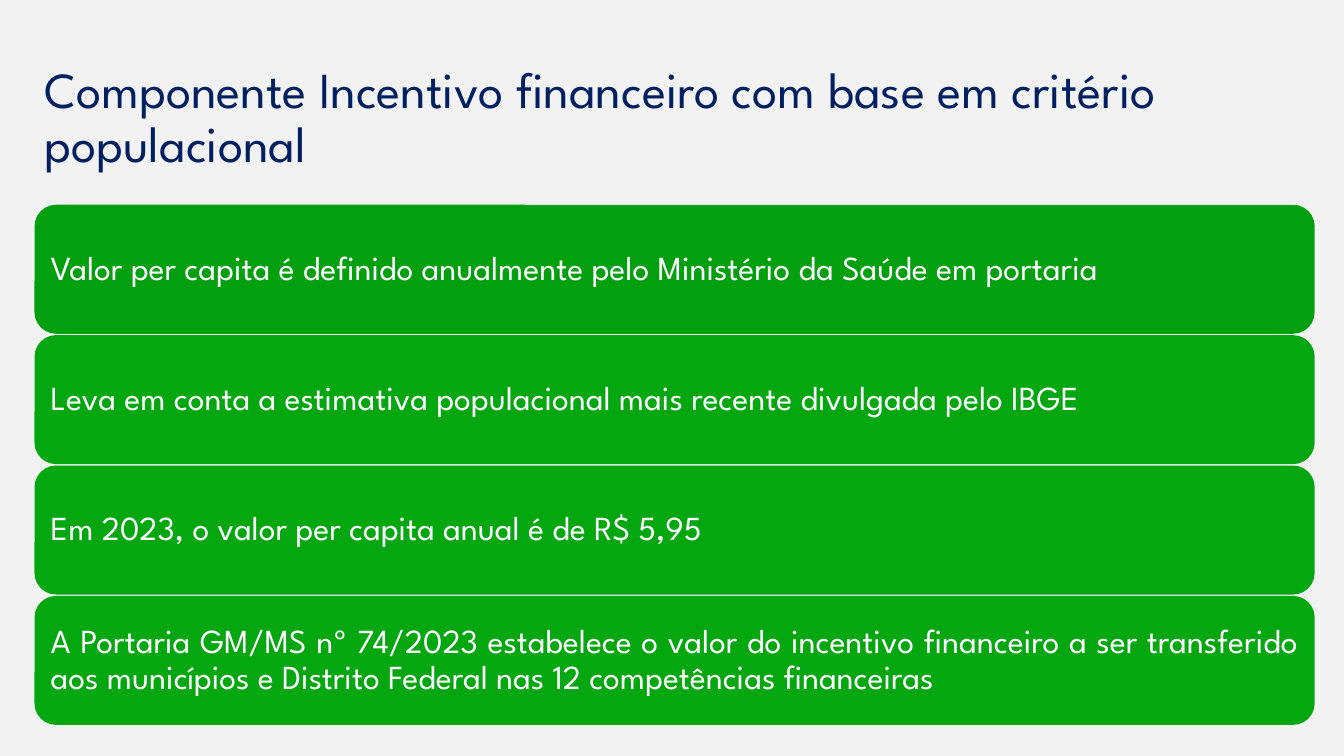
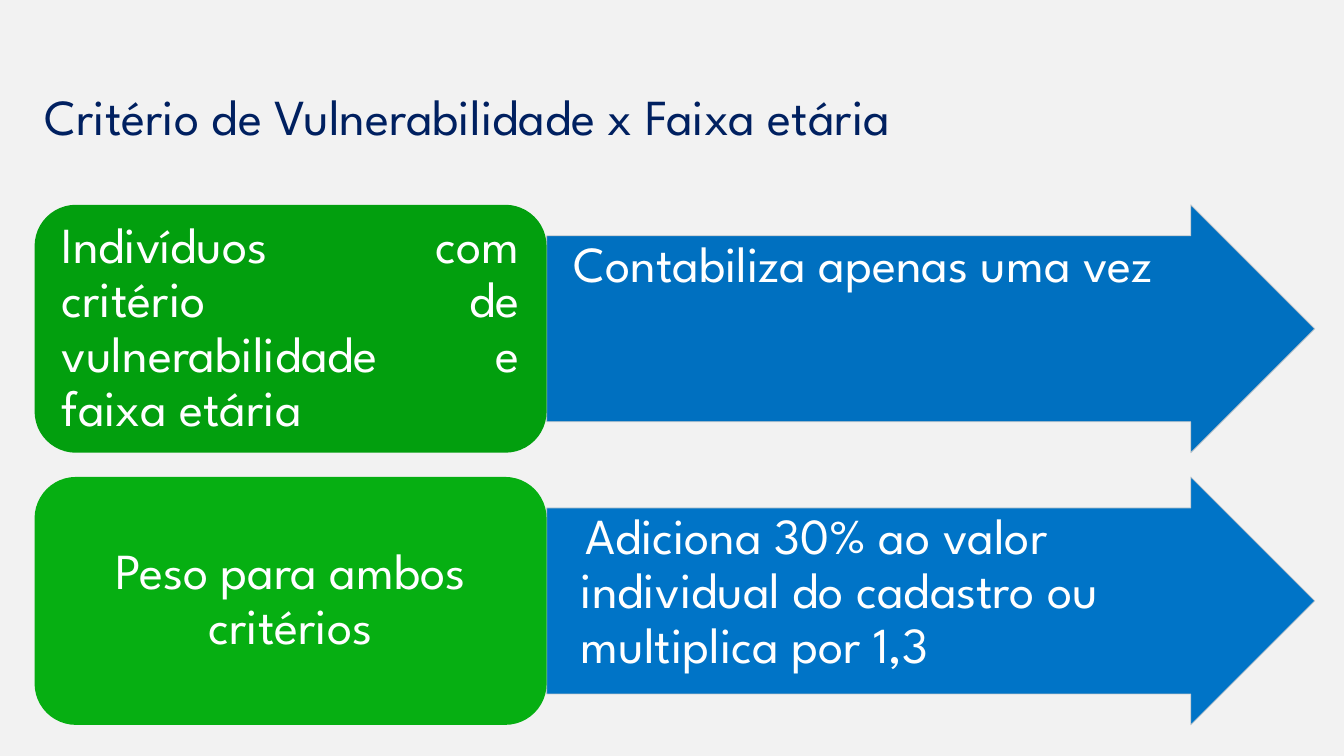
from dataclasses import dataclass

from lxml import etree
from pptx import Presentation
from pptx.dml.color import RGBColor
from pptx.enum.shapes import MSO_SHAPE
from pptx.enum.text import MSO_ANCHOR, MSO_AUTO_SIZE, PP_ALIGN
from pptx.oxml.ns import qn
from pptx.util import Pt

ROUNDED, ARROW = MSO_SHAPE.ROUNDED_RECTANGLE, MSO_SHAPE.RIGHT_ARROW
TOP, MIDDLE = MSO_ANCHOR.TOP, MSO_ANCHOR.MIDDLE
LEFT, CENTER, JUSTIFY = PP_ALIGN.LEFT, PP_ALIGN.CENTER, PP_ALIGN.JUSTIFY
NO_AUTOFIT = MSO_AUTO_SIZE.NONE
TITLE_ONLY = 5


@dataclass(frozen=True)
class Theme:
    """Colours, type and line spacing shared by the slides."""
    font: str = "League Spartan"
    background: str = "F2F2F2"
    navy: str = "002060"
    white: str = "FFFFFF"
    outline: str = "CCCCCC"
    green_dark: str = "029F0E"
    green: str = "04A710"
    green_light: str = "06AF12"
    blue: str = "0070C0"
    blue_light: str = "0074C7"
    large: float = 36
    medium: float = 24
    line_spacing: float = 0.9


@dataclass(frozen=True)
class Box:
    """A rectangle in points."""
    left: float
    top: float
    width: float
    height: float

    def rows(self, count, gap):
        """Split the box into equal rows."""
        height = (self.height - gap * (count - 1)) / count
        return [Box(self.left, self.top + i * (height + gap), self.width, height)
                for i in range(count)]

    def columns(self, share):
        """Split the box in two, the first taking the given share."""
        first = self.width * share
        return (Box(self.left, self.top, first, self.height),
                Box(self.left + first, self.top, self.width - first, self.height))

    def lengths(self):
        """Return left, top, width and height as lengths."""
        return Pt(self.left), Pt(self.top), Pt(self.width), Pt(self.height)


THEME = Theme()
TITLE_BOX = Box(24.7, 39.6, 914.4, 91.4)
BODY_BOX = Box(24.7, 146.3, 914.4, 371.5)

POPULATION_FACTS = [
    ("Valor per capita é definido anualmente pelo Ministério da Saúde em portaria",
     THEME.green_dark),
    ("Leva em conta a estimativa populacional mais recente divulgada pelo IBGE",
     THEME.green),
    ("Em 2023, o valor per capita anual é de R$ 5,95", THEME.green),
    ("A Portaria GM/MS nº 74/2023 estabelece o valor do incentivo financeiro a ser "
     "transferido aos municípios e Distrito Federal nas 12 competências financeiras",
     THEME.green),
]

CRITERIA = [
    {"criterion": "Indivíduos com critério de vulnerabilidade e faixa etária",
     "criterion_align": JUSTIFY, "criterion_color": THEME.green_dark,
     "effect": "Contabiliza apenas uma vez",
     "effect_align": JUSTIFY, "effect_color": THEME.blue, "effect_indent": -5},
    {"criterion": "Peso para ambos critérios",
     "criterion_align": CENTER, "criterion_color": THEME.green_light,
     "effect": "Adiciona 30% ao valor individual do cadastro ou multiplica por 1,3",
     "effect_align": LEFT, "effect_color": THEME.blue_light, "effect_indent": 3},
]


def write_text(shape, text, size, color, align, anchor, insets):
    """Fill a shape with one formatted paragraph and return it."""
    frame = shape.text_frame
    frame.word_wrap = True
    frame.auto_size = NO_AUTOFIT
    frame.vertical_anchor = anchor
    frame.margin_left = frame.margin_right = Pt(insets[0])
    frame.margin_top = frame.margin_bottom = Pt(insets[1])
    frame.text = text
    paragraph = frame.paragraphs[0]
    paragraph.alignment = align
    paragraph.line_spacing = THEME.line_spacing
    paragraph.font.name = THEME.font
    paragraph.font.size = Pt(size)
    paragraph.font.color.rgb = RGBColor.from_string(color)
    return paragraph


def add_panel(slide, preset, box, fill):
    """Add a filled preset shape without line or shadow."""
    panel = slide.shapes.add_shape(preset, *box.lengths())
    panel.shadow.inherit = False
    panel.fill.solid()
    panel.fill.fore_color.rgb = RGBColor.from_string(fill)
    panel.line.fill.background()
    return panel


def add_card(slide, box, text, fill, size, align, insets):
    """Add a rounded green card."""
    card = add_panel(slide, ROUNDED, box, fill)
    write_text(card, text, size, THEME.white, align, MIDDLE, insets)


def add_effect_arrow(slide, box, text, fill, align, indent):
    """Add a wide arrow with a faint outline and an indented text."""
    arrow = add_panel(slide, ARROW, box, fill)
    arrow.adjustments[0] = 0.75
    arrow.adjustments[1] = 0.5
    arrow.line.color.rgb = RGBColor.from_string(THEME.outline)
    arrow.line.width = Pt(0.5)
    outline_color = arrow.line.fill._xPr.find(".//" + qn("a:srgbClr"))
    etree.SubElement(outline_color, qn("a:alpha"), val="90000")
    paragraph = write_text(arrow, text, THEME.large, THEME.white, align, TOP, (2, 2))
    properties = paragraph._p.get_or_add_pPr()
    properties.set("marL", str(Pt(22.5)))
    properties.set("indent", str(Pt(indent)))


def add_titled_slide(deck, text):
    """Add a slide with its title in place."""
    slide = deck.slides.add_slide(deck.slide_layouts[TITLE_ONLY])
    title = slide.shapes.title
    title.left, title.top, title.width, title.height = TITLE_BOX.lengths()
    write_text(title, text, THEME.large, THEME.navy, LEFT, MIDDLE, (7.2, 3.6))
    return slide


def add_facts_slide(deck, title, facts, box):
    """Add a slide of stacked cards."""
    slide = add_titled_slide(deck, title)
    for row, (fact, fill) in zip(box.rows(len(facts), 1), facts):
        add_card(slide, row, fact, fill, THEME.medium, JUSTIFY, (7.2, 7.2))


def add_criteria_slide(deck, title, criteria, box):
    """Add a slide pairing each criterion with its effect."""
    slide = add_titled_slide(deck, title)
    for row, item in zip(box.rows(len(criteria), 17.3), criteria):
        criterion_box, effect_box = row.columns(0.4)
        add_effect_arrow(slide, effect_box, item["effect"], item["effect_color"],
                         item["effect_align"], item["effect_indent"])
        add_card(slide, criterion_box, item["criterion"], item["criterion_color"],
                 THEME.large, item["criterion_align"], (10.8, 5.4))


def main():
    """Build and save the deck."""
    deck = Presentation()
    deck.slide_width, deck.slide_height = Pt(960), Pt(540)
    background = deck.slide_master.background.fill
    background.solid()
    background.fore_color.rgb = RGBColor.from_string(THEME.background)
    add_facts_slide(
        deck, "Componente Incentivo financeiro com base em critério populacional",
        POPULATION_FACTS, BODY_BOX)
    add_criteria_slide(
        deck, "Critério de Vulnerabilidade x Faixa etária", CRITERIA, BODY_BOX)
    deck.save("out.pptx")


if __name__ == "__main__":
    main()
